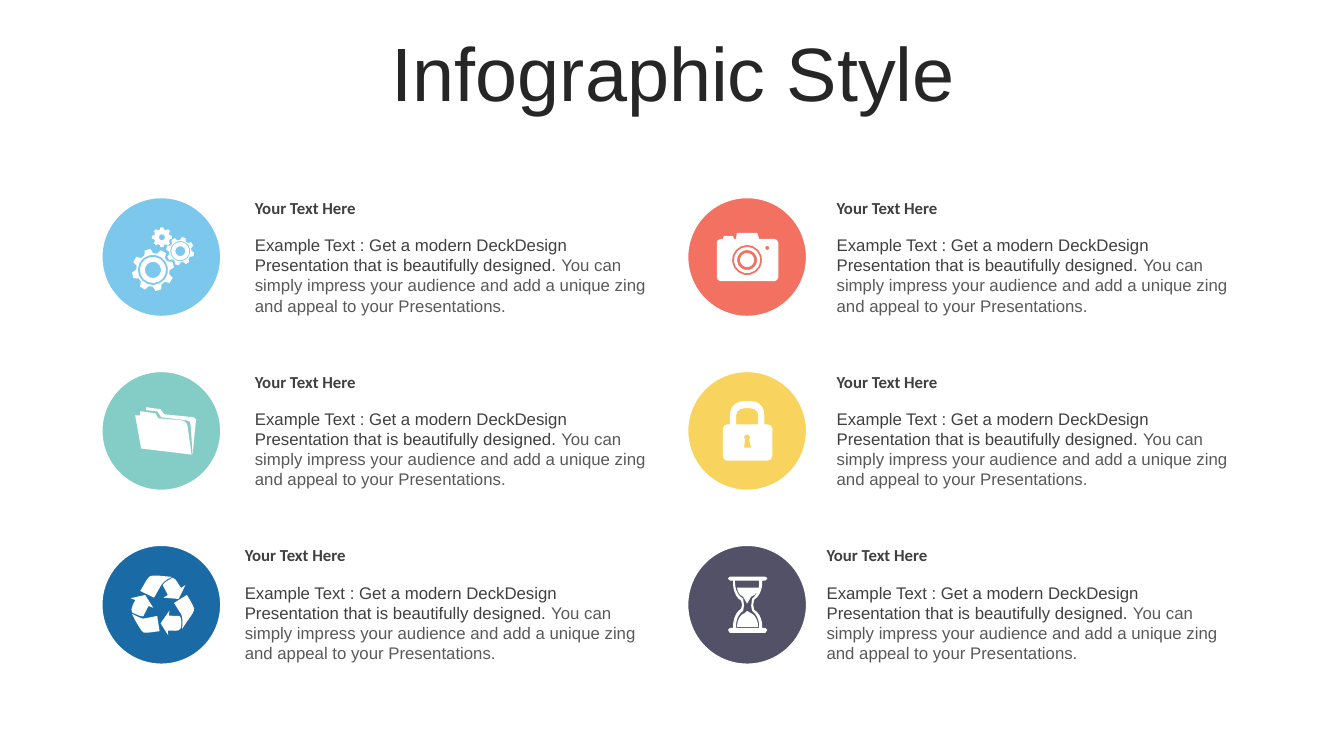
from math import ceil, cos, dist, radians, sin

from pptx import Presentation
from pptx.dml.color import RGBColor
from pptx.enum.shapes import MSO_SHAPE
from pptx.enum.text import MSO_ANCHOR, MSO_AUTO_SIZE, PP_ALIGN
from pptx.util import Inches, Pt

MIDDLE = MSO_ANCHOR.MIDDLE
CENTER = PP_ALIGN.CENTER
GROW = MSO_AUTO_SIZE.SHAPE_TO_FIT_TEXT
NO_FIT = MSO_AUTO_SIZE.NONE
OVAL = MSO_SHAPE.OVAL

WHITE = RGBColor(0xFF, 0xFF, 0xFF)
BLACK = RGBColor(0x26, 0x26, 0x26)
DARK = RGBColor(0x40, 0x40, 0x40)
GREY = RGBColor(0x59, 0x59, 0x59)
SKY = RGBColor(0x7C, 0xC8, 0xEC)
CORAL = RGBColor(0xF2, 0x71, 0x61)
TEAL = RGBColor(0x84, 0xCC, 0xC6)
YELLOW = RGBColor(0xF8, 0xD4, 0x5E)
BLUE = RGBColor(0x1A, 0x6B, 0xA5)
PURPLE = RGBColor(0x52, 0x51, 0x68)

# Content
TITLE = "Infographic Style"
HEADING = "Your Text Here"
BODY = (
    ("Example Text : Get a modern DeckDesign Presentation that is beautifully designed. ", DARK),
    ("You can simply impress your audience and add a unique zing and appeal to your Presentations.", GREY),
)

# Icon outlines in inches. Rings are (x, y, radius), gears (x, y, radius, first tooth angle);
# in a contour a pair is a corner and six numbers are a Bezier curve.
GEARS = {
    "rotation": 345,
    "gears": [(1.49, 2.65, 0.21, 0), (1.8, 2.54, 0.14, -16), (1.66, 2.36, 0.1, 15)],
    "rings": [(1.49, 2.65, 0.08), (1.49, 2.65, 0.13), (1.49, 2.65, 0.15),
              (1.8, 2.54, 0.05), (1.8, 2.54, 0.09), (1.8, 2.54, 0.1), (1.66, 2.36, 0.03)],
}
CAMERA = {
    "rings": [(7.41, 2.58, 0.07), (7.41, 2.58, 0.1), (7.41, 2.58, 0.13),
              (7.41, 2.58, 0.15), (7.61, 2.46, 0.02)],
    "contours": [
        [(7.31, 2.31), (7.51, 2.31), (7.53, 2.37), (7.68, 2.37), (7.7, 2.37, 7.72, 2.39, 7.72, 2.41),
         (7.72, 2.75), (7.72, 2.77, 7.7, 2.79, 7.68, 2.79), (7.15, 2.79),
         (7.12, 2.79, 7.11, 2.77, 7.11, 2.75), (7.11, 2.41), (7.11, 2.39, 7.12, 2.37, 7.15, 2.37),
         (7.17, 2.37), (7.18, 2.34), (7.27, 2.34), (7.28, 2.37), (7.3, 2.37)],
    ],
}
FOLDER = {
    "contours": [
        [(1.39, 4.08), (1.54, 4.1), (1.57, 4.15), (1.8, 4.17), (1.85, 4.18, 1.85, 4.2, 1.86, 4.23),
         (1.9, 4.51), (1.4, 4.45), (1.34, 4.12), (1.39, 4.12)],
        [(1.45, 4.04), (1.59, 4.06), (1.63, 4.11), (1.92, 4.14), (1.95, 4.15, 1.95, 4.17, 1.94, 4.2),
         (1.91, 4.51), (1.89, 4.21), (1.89, 4.19, 1.88, 4.17, 1.85, 4.17), (1.6, 4.14),
         (1.56, 4.08), (1.45, 4.07)],
    ],
}
PADLOCK = {
    "contours": [
        [(7.41, 4.31), (7.39, 4.31, 7.38, 4.32, 7.38, 4.34), (7.39, 4.36), (7.38, 4.44),
         (7.45, 4.44), (7.43, 4.36), (7.44, 4.34), (7.44, 4.32, 7.43, 4.31, 7.41, 4.31)],
        [(7.38, 4.05), (7.34, 4.05, 7.3, 4.08, 7.3, 4.12), (7.3, 4.21), (7.52, 4.21), (7.52, 4.12),
         (7.52, 4.08, 7.49, 4.05, 7.44, 4.05)],
        [(7.37, 3.98), (7.45, 3.98), (7.53, 3.98, 7.58, 4.04, 7.58, 4.11), (7.58, 4.21), (7.61, 4.21),
         (7.64, 4.21, 7.66, 4.23, 7.66, 4.25), (7.66, 4.52), (7.66, 4.55, 7.64, 4.57, 7.61, 4.57),
         (7.21, 4.57), (7.19, 4.57, 7.17, 4.55, 7.17, 4.52), (7.17, 4.25),
         (7.17, 4.23, 7.19, 4.21, 7.21, 4.21), (7.24, 4.21), (7.24, 4.11),
         (7.24, 4.04, 7.3, 3.98, 7.37, 3.98)],
    ],
}
RECYCLING = {
    "rotation": 237.8,
    "contours": [
        [(1.66, 6.06), (1.66, 6.11), (1.77, 6.12), (1.79, 6.15, 1.78, 6.2, 1.78, 6.24),
         (1.76, 6.27, 1.69, 6.25, 1.65, 6.26), (1.65, 6.31), (1.57, 6.18)],
        [(1.3, 6.05), (1.36, 6.1, 1.39, 6.11, 1.42, 6.12), (1.56, 6.12), (1.56, 6.27),
         (1.51, 6.27, 1.45, 6.27, 1.41, 6.26), (1.37, 6.24, 1.37, 6.2, 1.3, 6.05)],
        [(1.84, 5.9), (1.86, 5.95, 1.9, 6, 1.91, 6.05), (1.91, 6.09, 1.89, 6.11, 1.79, 6.24),
         (1.8, 6.17, 1.79, 6.14, 1.78, 6.11), (1.71, 5.98)],
        [(1.32, 5.9), (1.46, 5.9), (1.52, 6.04), (1.48, 6.01), (1.42, 6.1),
         (1.38, 6.1, 1.34, 6.07, 1.31, 6.04), (1.29, 6.01, 1.34, 5.96, 1.36, 5.92)],
        [(1.71, 5.72), (1.74, 5.72, 1.77, 5.78, 1.79, 5.81), (1.83, 5.78), (1.78, 5.92),
         (1.63, 5.92), (1.67, 5.89), (1.61, 5.79), (1.63, 5.76, 1.67, 5.74, 1.7, 5.72)],
        [(1.53, 5.7), (1.57, 5.7, 1.61, 5.7, 1.69, 5.71), (1.64, 5.74, 1.61, 5.76, 1.59, 5.78),
         (1.54, 5.91), (1.4, 5.85), (1.42, 5.81, 1.44, 5.75, 1.47, 5.71),
         (1.49, 5.7, 1.5, 5.7, 1.53, 5.7)],
    ],
}
HOURGLASS = {
    "contours": [
        [(7.41, 6.06), (7.44, 6.08), (7.48, 6.09, 7.52, 6.15, 7.52, 6.22),
         (7.31, 6.22), (7.31, 6.15, 7.34, 6.1, 7.39, 6.08)],
        [(7.31, 5.83), (7.52, 5.83), (7.52, 5.87, 7.49, 5.91, 7.45, 5.92), (7.41, 5.99),
         (7.37, 5.92), (7.34, 5.91, 7.31, 5.87, 7.31, 5.83)],
        [(7.29, 5.76), (7.29, 5.78), (7.29, 5.85, 7.32, 5.91, 7.37, 5.94), (7.38, 6.01), (7.37, 6.06),
         (7.33, 6.09, 7.3, 6.14, 7.3, 6.21), (7.3, 6.23), (7.53, 6.23), (7.53, 6.21),
         (7.53, 6.15, 7.5, 6.09, 7.46, 6.06), (7.45, 6.01), (7.46, 5.94),
         (7.5, 5.91, 7.53, 5.85, 7.53, 5.78), (7.53, 5.76)],
        [(7.24, 5.72), (7.59, 5.72), (7.61, 5.74), (7.59, 5.76), (7.56, 5.76), (7.56, 5.78),
         (7.56, 5.85, 7.53, 5.92, 7.48, 5.95), (7.47, 6), (7.48, 6.05),
         (7.53, 6.08, 7.56, 6.14, 7.56, 6.22), (7.56, 6.23), (7.59, 6.23), (7.61, 6.25), (7.59, 6.28),
         (7.24, 6.28), (7.22, 6.25), (7.24, 6.23), (7.27, 6.23), (7.27, 6.22),
         (7.27, 6.14, 7.3, 6.07, 7.35, 6.04), (7.36, 6), (7.35, 5.96),
         (7.3, 5.93, 7.27, 5.86, 7.27, 5.78), (7.27, 5.76), (7.24, 5.76), (7.22, 5.74)],
    ],
}
ROWS = [[(SKY, GEARS), (CORAL, CAMERA)], [(TEAL, FOLDER), (YELLOW, PADLOCK)],
        [(BLUE, RECYCLING), (PURPLE, HOURGLASS)]]

# Grid
CIRCLE_LEFTS = (1.01, 6.82)
TEXT_LEFTS = (2.43, 8.2)
LAST_ROW_SHIFT = -0.1
FIRST_TOP, ROW_PITCH, DIAMETER = 1.96, 1.725, 1.18


def polar(x, y, radius, angle):
    return x + radius * sin(radians(angle)), y - radius * cos(radians(angle))


def ring_points(x, y, radius):
    return [polar(x, y, radius, angle) for angle in range(0, 360, 24 if radius > 0.06 else 36)]


def gear_points(x, y, radius, phase):
    tooth = ((0.79, -15.5), (1, -8), (1, 8), (0.79, 15.5))
    return [polar(x, y, radius * share, phase + turn + angle)
            for turn in range(0, 360, 45) for share, angle in tooth]


def contour_points(contour):
    points = []
    for step in contour:
        controls = (points[-1], step[:2], step[2:4], step[4:]) if len(step) == 6 else (step,) * 4
        pieces = max(1, ceil(dist(controls[0], controls[3]) / 0.04))
        for t in (piece / pieces for piece in range(1, pieces + 1)):
            weights = ((1 - t) ** 3, 3 * t * (1 - t) ** 2, 3 * t * t * (1 - t), t ** 3)
            points.append(tuple(sum(w * c[axis] for w, c in zip(weights, controls)) for axis in (0, 1)))
    return points


def add_icon(shapes, icon):
    outlines = [ring_points(*ring) for ring in icon.get("rings", [])]
    outlines += [gear_points(*gear) for gear in icon.get("gears", [])]
    outlines += [contour_points(contour) for contour in icon.get("contours", [])]
    outlines = [[(Inches(x), Inches(y)) for x, y in points] for points in outlines]
    builder = shapes.build_freeform(*outlines[0][0], scale=1.0)
    for number, points in enumerate(outlines):
        if number:
            builder.move_to(*points[0])
        builder.add_line_segments(points[1:], close=True)
    shape = builder.convert_to_shape()
    shape.rotation = icon.get("rotation", 0)
    shape.shadow.inherit = False
    shape.fill.solid()
    shape.fill.fore_color.rgb = WHITE
    shape.line.fill.background()


def add_text(shapes, left, top, height, parts, font_name, bold):
    frame = shapes.add_textbox(Inches(left), Inches(top), Inches(4.2), Inches(height)).text_frame
    frame.word_wrap, frame.auto_size = True, GROW
    for text, color in parts:
        run = frame.paragraphs[0].add_run()
        run.text = text
        run.font.name, run.font.size, run.font.bold = font_name, Pt(12), bold
        run.font.color.rgb = color


presentation = Presentation()
presentation.slide_width, presentation.slide_height = Inches(13.33), Inches(7.5)
slide = presentation.slides.add_slide(presentation.slide_layouts[5])

# Title
title = slide.shapes.title
title.left, title.top, title.width, title.height = map(Inches, (0.35, 0.37, 12.66, 0.79))
title.text_frame.text = TITLE
title.text_frame.vertical_anchor, title.text_frame.auto_size = MIDDLE, NO_FIT
paragraph = title.text_frame.paragraphs[0]
paragraph.alignment, paragraph.line_spacing, paragraph.space_before = CENTER, 0.9, Pt(10)
font = paragraph.runs[0].font
font.name, font.size, font.color.rgb = "Arial", Pt(54), BLACK

# Circles with icons and texts
for row, cells in enumerate(ROWS):
    top = FIRST_TOP + row * ROW_PITCH
    shift = LAST_ROW_SHIFT if row == len(ROWS) - 1 else 0
    for (color, icon), circle_left, text_left in zip(cells, CIRCLE_LEFTS, TEXT_LEFTS):
        circle = slide.shapes.add_shape(OVAL, Inches(circle_left), Inches(top), Inches(DIAMETER), Inches(DIAMETER))
        circle.shadow.inherit = False
        circle.fill.solid()
        circle.fill.fore_color.rgb = color
        circle.line.color.rgb, circle.line.width = WHITE, Pt(1)
        add_text(slide.shapes, text_left + shift, top - 0.05, 0.3, [(HEADING, DARK)], "Calibri", True)
        add_text(slide.shapes, text_left + shift, top + 0.32, 0.91, BODY, "Arial", False)
        add_icon(slide.shapes, icon)

presentation.save("out.pptx")
